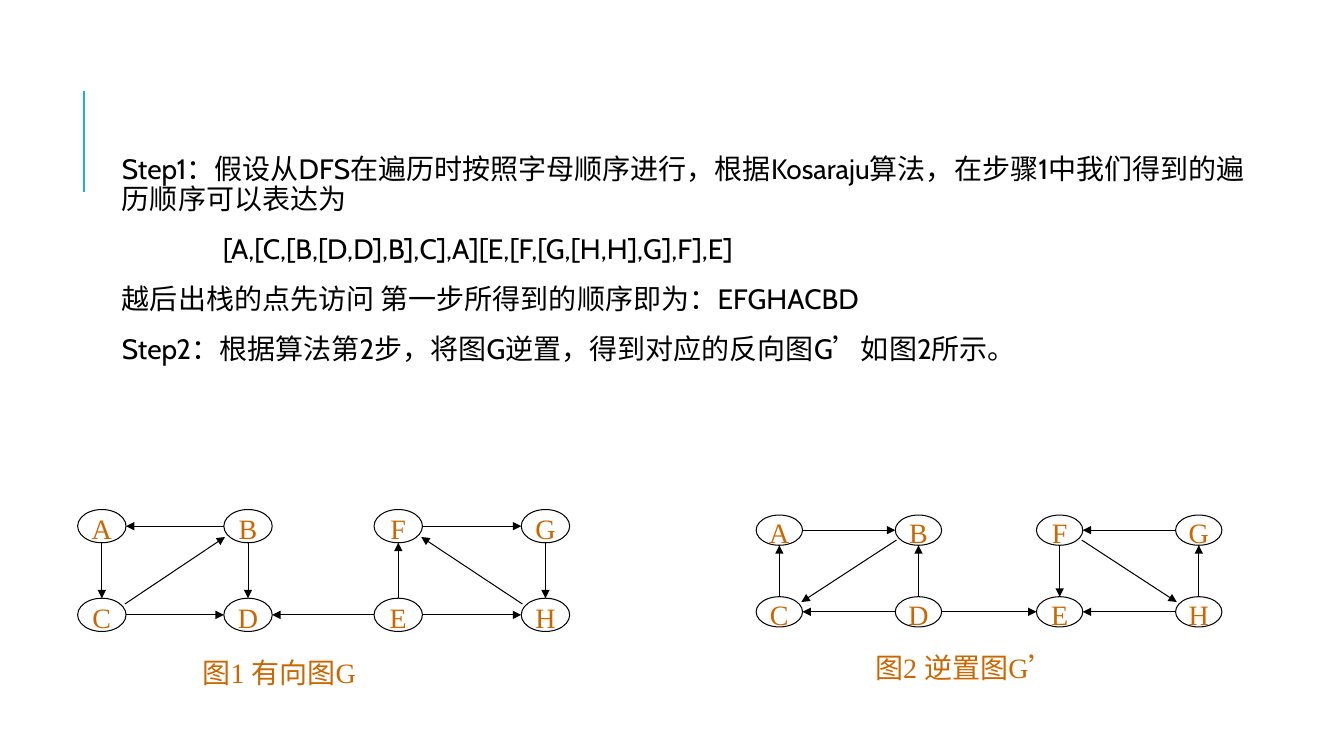
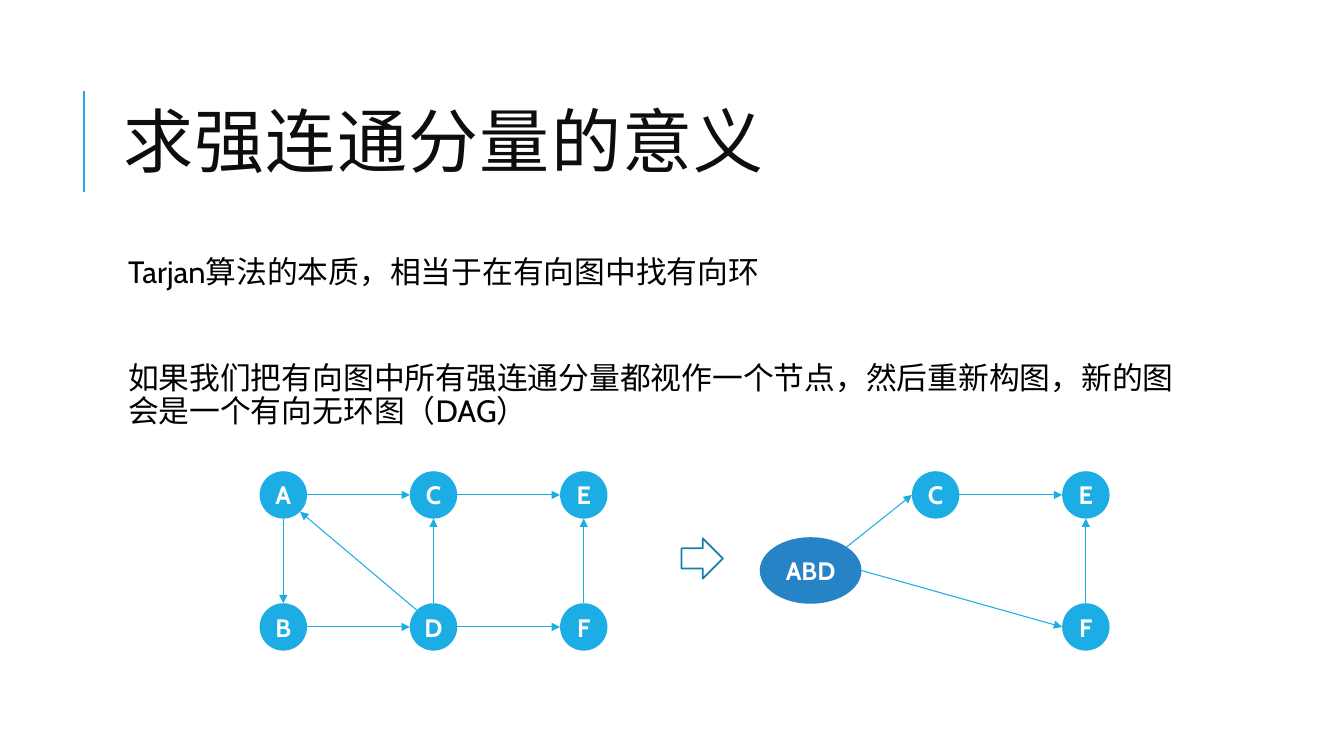
"""Build two slides on strongly connected components of directed graphs."""
from dataclasses import dataclass

from lxml.etree import SubElement
from pptx import Presentation
from pptx.dml.color import RGBColor
from pptx.enum.shapes import MSO_CONNECTOR as Connector, MSO_SHAPE as Preset
from pptx.enum.text import MSO_ANCHOR as Anchor, MSO_AUTO_SIZE as AutoSize, PP_ALIGN as Align
from pptx.oxml.ns import qn
from pptx.util import Inches, Pt


@dataclass(frozen=True)
class Theme:
    accent: str = "1CADE4"
    accent_dark: str = "2683C6"
    arrow_line: str = "1580A9"
    title_ink: str = "0D0D0D"
    ink: str = "000000"
    paper: str = "FFFFFF"
    label: str = "CC6600"
    title_font: str = "Calibri"
    body_font: str = "Cabin"
    figure_font: str = "Times New Roman"
    title_size: float = 50
    body_size: float = 22
    figure_size: float = 20
    node_size: float = 18
    thin: float = 0.75
    medium: float = 1.25
    thick: float = 1.5


@dataclass(frozen=True)
class NodeStyle:
    width: float
    height: float
    fill: str
    line: str
    font: str
    size: float
    color: str
    bold: bool = False
    corner: tuple = (0.71, 0.71)
    top_inset: float = 0


def sign(number):
    return (number > 0) - (number < 0)


class Deck:
    def __init__(self, theme):
        self.theme = theme
        self.presentation = Presentation()
        self.presentation.slide_width = Inches(13.33)
        self.presentation.slide_height = Inches(7.5)
        self.slide = None

    def add_slide(self, title=None):
        layout = self.presentation.slide_layouts[5 if title else 6]
        self.slide = self.presentation.slides.add_slide(layout)
        self.line((Inches(0.83), Inches(1.9)), (Inches(0.83), Inches(0.9)),
                  self.theme.accent, self.theme.thick)
        if title:
            self.title(title)

    def run(self, paragraph, text, font, size, color, bold=False):
        run = paragraph.add_run()
        run.text = text
        run.font.name = font
        run.font.size = Pt(size)
        run.font.bold = bold
        run.font.color.rgb = RGBColor.from_string(color)
        properties = run._r.get_or_add_rPr()
        properties.set("lang", "zh-CN")
        return properties

    def title(self, text):
        theme = self.theme
        shape = self.slide.shapes.title
        shape.left, shape.top = Inches(1.12), Inches(0.64)
        shape.width, shape.height = Inches(10.63), Inches(1.64)
        frame = shape.text_frame
        frame.auto_size = AutoSize.NONE
        frame.vertical_anchor = Anchor.MIDDLE
        paragraph = frame.paragraphs[0]
        paragraph.alignment = Align.LEFT
        paragraph.line_spacing = 0.8
        properties = self.run(paragraph, text, theme.title_font,
                              theme.title_size, theme.title_ink)
        properties.set("spc", "100")

    def text_box(self, left, top, width, height):
        shape = self.slide.shapes.add_textbox(
            Inches(left), Inches(top), Inches(width), Inches(height))
        shape.text_frame.word_wrap = True
        return shape.text_frame

    def body(self, left, top, width, height, size, items, space_before=12):
        frame = self.text_box(left, top, width, height)
        frame.margin_left = frame.margin_right = Inches(0.05)
        frame.margin_top = frame.margin_bottom = Inches(0.05)
        for index, (text, indent) in enumerate(items):
            paragraph = frame.add_paragraph() if index else frame.paragraphs[0]
            paragraph.line_spacing = 0.9
            paragraph.space_before = Pt(space_before if index else 0)
            paragraph.space_after = Pt(2)
            paragraph._p.get_or_add_pPr().set("marL", str(Inches(indent)))
            self.run(paragraph, text, self.theme.body_font, size, self.theme.ink)

    def caption(self, left, top, width, height, text):
        frame = self.text_box(left, top, width, height)
        self.run(frame.paragraphs[0], text, self.theme.figure_font,
                 self.theme.figure_size, self.theme.label)

    def shape(self, preset, left, top, width, height, fill=None, line=None, weight=0.75):
        shape = self.slide.shapes.add_shape(
            preset, Inches(left), Inches(top), Inches(width), Inches(height))
        shape.shadow.inherit = False
        if fill:
            shape.fill.solid()
            shape.fill.fore_color.rgb = RGBColor.from_string(fill)
        else:
            shape.fill.background()
        if line:
            shape.line.color.rgb = RGBColor.from_string(line)
            shape.line.width = Pt(weight)
        else:
            shape.line.fill.background()
        return shape

    def node(self, text, center_x, center_y, style):
        shape = self.shape(Preset.OVAL, center_x - style.width / 2,
                           center_y - style.height / 2, style.width, style.height,
                           style.fill, style.line, self.theme.thin)
        frame = shape.text_frame
        frame.margin_left = frame.margin_right = frame.margin_bottom = 0
        frame.margin_top = Inches(style.top_inset)
        frame.word_wrap = False
        frame.vertical_anchor = Anchor.MIDDLE
        paragraph = frame.paragraphs[0]
        paragraph.alignment = Align.CENTER
        self.run(paragraph, text, style.font, style.size, style.color, style.bold)
        return shape

    def line(self, begin, end, color, weight, arrow=False):
        connector = self.slide.shapes.add_connector(Connector.STRAIGHT, *begin, *end)
        connector.line.color.rgb = RGBColor.from_string(color)
        connector.line.width = Pt(weight)
        if arrow:
            SubElement(connector.line._get_or_add_ln(), qn("a:tailEnd"), type="triangle")
        SubElement(connector._element.spPr, qn("a:effectLst"))

    def edge(self, start, end, color, corner, leave=None, arrive=None):
        across = sign(end.left - start.left)
        down = sign(end.top - start.top)
        self.line(self.site(start, leave or (across, down), corner),
                  self.site(end, arrive or (-across, -down), corner),
                  color, self.theme.thin, arrow=True)

    def site(self, shape, direction, corner):
        reach = corner if all(direction) else (1, 1)
        return (round(shape.left + shape.width / 2 * (1 + direction[0] * reach[0])),
                round(shape.top + shape.height / 2 * (1 + direction[1] * reach[1])))

    def graph(self, columns, rows, names, edges, style, color):
        nodes = {}
        for row, row_names in zip(rows, names):
            for column, name in zip(columns, row_names):
                nodes[name] = self.node(name, column, row, style)
        for start, end in edges:
            self.edge(nodes[start], nodes[end], color, style.corner)
        return nodes


def reversal_slide(deck):
    theme = deck.theme
    deck.add_slide()
    deck.body(1.16, 1.49, 11.27, 3.2, theme.figure_size, [
        ("Step1：假设从DFS在遍历时按照字母顺序进行，根据Kosaraju算法，"
         "在步骤1中我们得到的遍历顺序可以表达为", 0),
        ("[A,[C,[B,[D,D],B],C],A][E,[F,[G,[H,H],G],F],E]", 1),
        ("越后出栈的点先访问 第一步所得到的顺序即为：EFGHACBD", 0),
        ("Step2：根据算法第2步，将图G逆置，得到对应的反向图G’如图2所示。", 0),
    ])
    names = ("ABFG", "CDEH")
    edges = ("BA", "AC", "CB", "CD", "BD", "ED", "EF", "FG", "HF", "GH", "EH")
    reversed_edges = [end + start for start, end in edges]
    outline = dict(fill=theme.paper, line=theme.ink, font=theme.figure_font,
                   size=theme.figure_size, color=theme.label,
                   corner=(0.95, 0.65), top_inset=0.04)
    deck.graph((1.01, 2.46, 3.95, 5.41), (5.22, 6.1), names, edges,
               NodeStyle(0.48, 0.33, **outline), theme.ink)
    deck.graph((7.73, 9.11, 10.51, 11.89), (5.26, 6.07), names, reversed_edges,
               NodeStyle(0.46, 0.3, **outline), theme.ink)
    deck.caption(1.91, 6.45, 2.66, 0.43, "图1 有向图G")
    deck.caption(8.58, 6.4, 2.52, 0.39, "图2 逆置图G’")


def meaning_slide(deck):
    theme = deck.theme
    deck.add_slide("求强连通分量的意义")
    deck.body(1.12, 2.5, 10.63, 1.9, theme.body_size, [
        ("Tarjan算法的本质，相当于在有向图中找有向环", 0.1),
        ("如果我们把有向图中所有强连通分量都视作一个节点，然后重新构图，"
         "新的图会是一个有向无环图（DAG）", 0.1),
    ], space_before=50)
    solid = dict(line=None, font=theme.body_font, size=theme.node_size,
                 color=theme.paper, bold=True)
    circle = NodeStyle(0.47, 0.47, theme.accent, **solid)
    merged = NodeStyle(1.01, 0.66, theme.accent_dark, **solid)
    rows = (4.91, 6.22)
    deck.graph([2.81 + 1.49 * step for step in range(3)], rows, ("ACE", "BDF"),
               ("AC", "CE", "AB", "BD", "DA", "DC", "DF", "FE"), circle, theme.accent)
    deck.shape(Preset.RIGHT_ARROW, 6.76, 5.34, 0.41, 0.4,
               line=theme.arrow_line, weight=theme.medium)
    component = deck.node("ABD", 8.04, 5.66, merged)
    nodes = {name: deck.node(name, column, row, circle)
             for name, column, row in (("C", 9.28, rows[0]), ("E", 10.77, rows[0]),
                                       ("F", 10.77, rows[1]))}
    for start, end in ("CE", "FE"):
        deck.edge(nodes[start], nodes[end], theme.accent, circle.corner)
    for name, leave in (("C", (1, -1)), ("F", (1, 0))):
        deck.edge(component, nodes[name], theme.accent, merged.corner, leave, (-1, 0))


def main():
    deck = Deck(Theme())
    reversal_slide(deck)
    meaning_slide(deck)
    deck.presentation.save("out.pptx")


if __name__ == "__main__":
    main()
